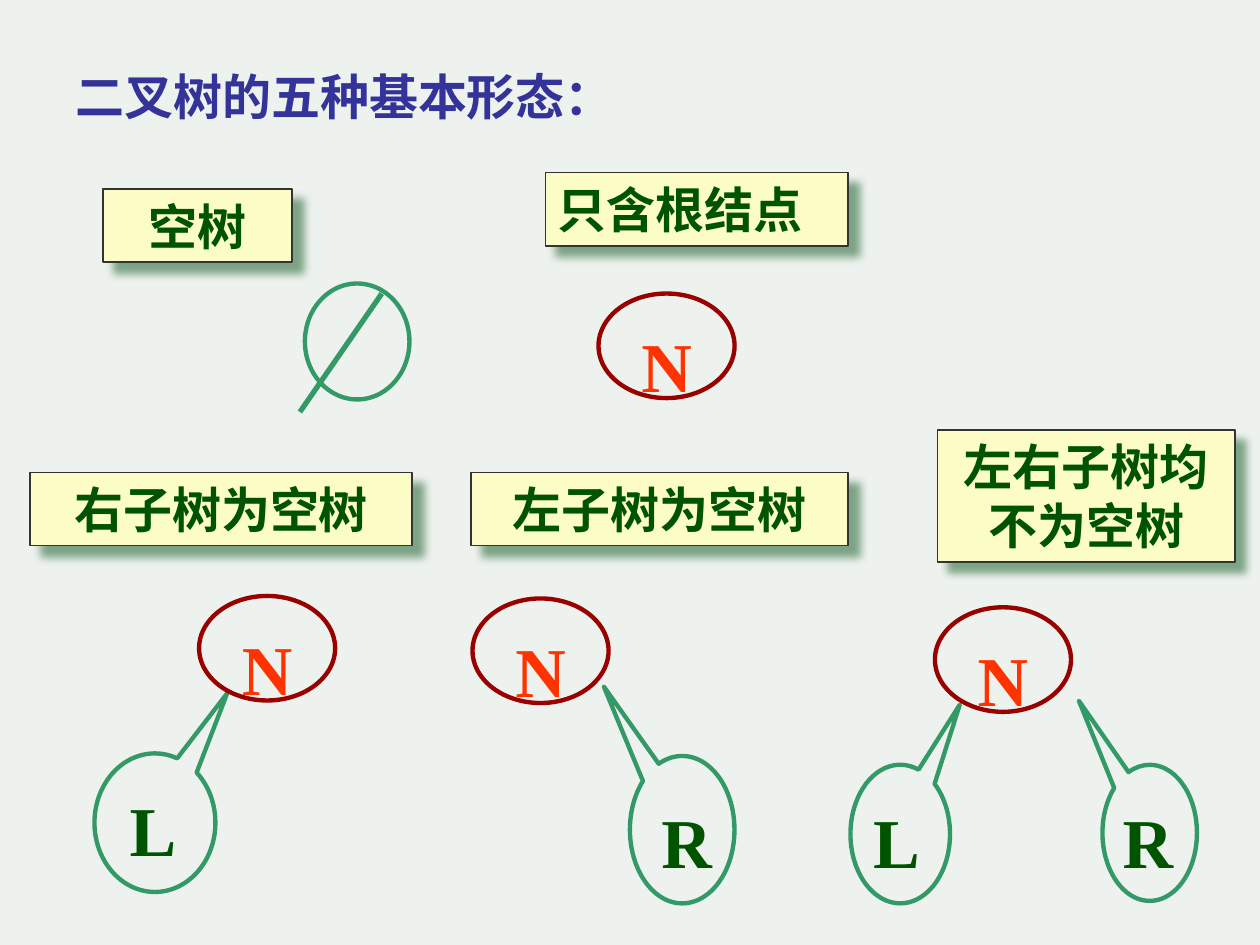
from lxml.etree import SubElement
from pptx import Presentation
from pptx.dml.color import RGBColor as RGB
from pptx.enum.shapes import MSO_CONNECTOR as CONN, MSO_SHAPE as SHAPE
from pptx.enum.text import MSO_ANCHOR as ANCHOR, PP_ALIGN as ALIGN
from pptx.oxml.ns import qn
from pptx.util import Inches, Pt

THEME = {
    "bg": "EEF2EE", "title": "333399", "label_fill": "FCFDC6",
    "label_line": "333333", "shadow": "578963", "text": "005400",
    "child": "339966", "root": "990000", "root_text": "FF3300",
    "serif": "Times New Roman", "sans": "Arial",
    "label_size": 28, "node_size": 40, "outline": 2.5,
}

TITLE = ("二叉树的五种基本形态：", (0.5, 0.48, 4.89, 0.57))
LABELS = [
    ("空树", (0.82, 1.5, 1.5, 0.58), ALIGN.CENTER),
    ("只含根结点", (4.33, 1.37, 2.4, 0.58), ALIGN.LEFT),
    ("右子树为空树", (0.24, 3.75, 3.03, 0.58), ALIGN.CENTER),
    ("左子树为空树", (3.74, 3.75, 2.99, 0.58), ALIGN.CENTER),
    ("左右子树均不为空树", (7.44, 3.41, 2.36, 1.05), ALIGN.CENTER),
]
EMPTY_CIRCLE = (2.42, 2.25, 0.83, 0.92)
EMPTY_SLASH = (3.03, 2.33, 2.38, 3.27)
ROOT_SIZE = (1.08, 0.83)
ROOTS = [(4.75, 2.33), (1.58, 4.73), (3.75, 4.75), (7.42, 4.82)]
POINTERS = {"L": (0.598, -0.934), "R": (-0.75, -0.971)}
LETTER_SIZES = {"L": (0.57, 0.77), "R": (0.6, 0.77)}
CHILDREN = [
    ("L", (0.75, 5.98, 0.96, 1.1), (0.93, 6.13)),
    ("R", (5, 6, 0.83, 1.17), (5.15, 6.23)),
    ("L", (6.75, 6.07, 0.79, 1.1), (6.83, 6.23)),
    ("R", (8.75, 6.07, 0.75, 1.08), (8.81, 6.23)),
]


def color(name):
    return RGB.from_string(THEME[name])


def inches(box):
    return [Inches(v) for v in box]


def write(sp, text, size, font, ink, align, anchor=ANCHOR.MIDDLE, top=0.05, wrap=True):
    tf = sp.text_frame
    tf.word_wrap = wrap
    tf.vertical_anchor = anchor
    tf.margin_top = Inches(top)
    p = tf.paragraphs[0]
    p.text = text
    p.alignment = align
    p.font.size = Pt(THEME[size])
    p.font.name = THEME[font]
    p.font.bold = True
    p.font.color.rgb = color(ink)


def add_shape(slide, kind, box, fill, line, width):
    sp = slide.shapes.add_shape(kind, *inches(box))
    sp.shadow.inherit = False
    sp.fill.solid()
    sp.fill.fore_color.rgb = color(fill)
    sp.line.color.rgb = color(line)
    sp.line.width = Pt(width)
    return sp


def add_shadow(sp):
    effects = sp._element.spPr.find(qn("a:effectLst"))
    shadow = SubElement(effects, qn("a:outerShdw"), blurRad=str(Pt(5)),
                        dist=str(Pt(8.5)), dir="2700000", algn="ctr", rotWithShape="0")
    tint = SubElement(shadow, qn("a:srgbClr"), val=THEME["shadow"])
    SubElement(tint, qn("a:alpha"), val="75000")


def add_label(slide, text, box, align):
    sp = add_shape(slide, SHAPE.RECTANGLE, box, "label_fill", "label_line", 1)
    add_shadow(sp)
    write(sp, text, "label_size", "sans", "text", align)


def add_empty_tree(slide):
    add_shape(slide, SHAPE.OVAL, EMPTY_CIRCLE, "bg", "child", THEME["outline"])
    slash = slide.shapes.add_connector(CONN.STRAIGHT, *inches(EMPTY_SLASH))
    slash.line.color.rgb = color("child")
    slash.line.width = Pt(3)
    SubElement(slash._element.spPr, qn("a:effectLst"))


def add_root(slide, at):
    sp = add_shape(slide, SHAPE.OVAL, at + ROOT_SIZE, "bg", "root", THEME["outline"])
    write(sp, "N", "node_size", "serif", "root_text", ALIGN.CENTER, ANCHOR.TOP, 0.11)


def add_child(slide, letter, box, at):
    sp = add_shape(slide, SHAPE.OVAL_CALLOUT, box, "bg", "child", THEME["outline"])
    for i, value in enumerate(POINTERS[letter]):
        sp.adjustments[i] = value
    tb = slide.shapes.add_textbox(*inches(at + LETTER_SIZES[letter]))
    write(tb, letter, "node_size", "serif", "text", ALIGN.CENTER, ANCHOR.TOP, 0.11, False)


def main():
    prs = Presentation()
    prs.slide_width, prs.slide_height = Inches(10), Inches(7.5)
    slide = prs.slides.add_slide(prs.slide_layouts[5])
    slide.background.fill.solid()
    slide.background.fill.fore_color.rgb = color("bg")

    text, box = TITLE
    title = slide.shapes.title
    title.left, title.top, title.width, title.height = inches(box)
    write(title, text, "label_size", "serif", "title", ALIGN.LEFT)

    add_empty_tree(slide)
    for child in CHILDREN:
        add_child(slide, *child)
    for at in ROOTS:
        add_root(slide, at)
    for label in LABELS:
        add_label(slide, *label)
    prs.save("out.pptx")


if __name__ == "__main__":
    main()
